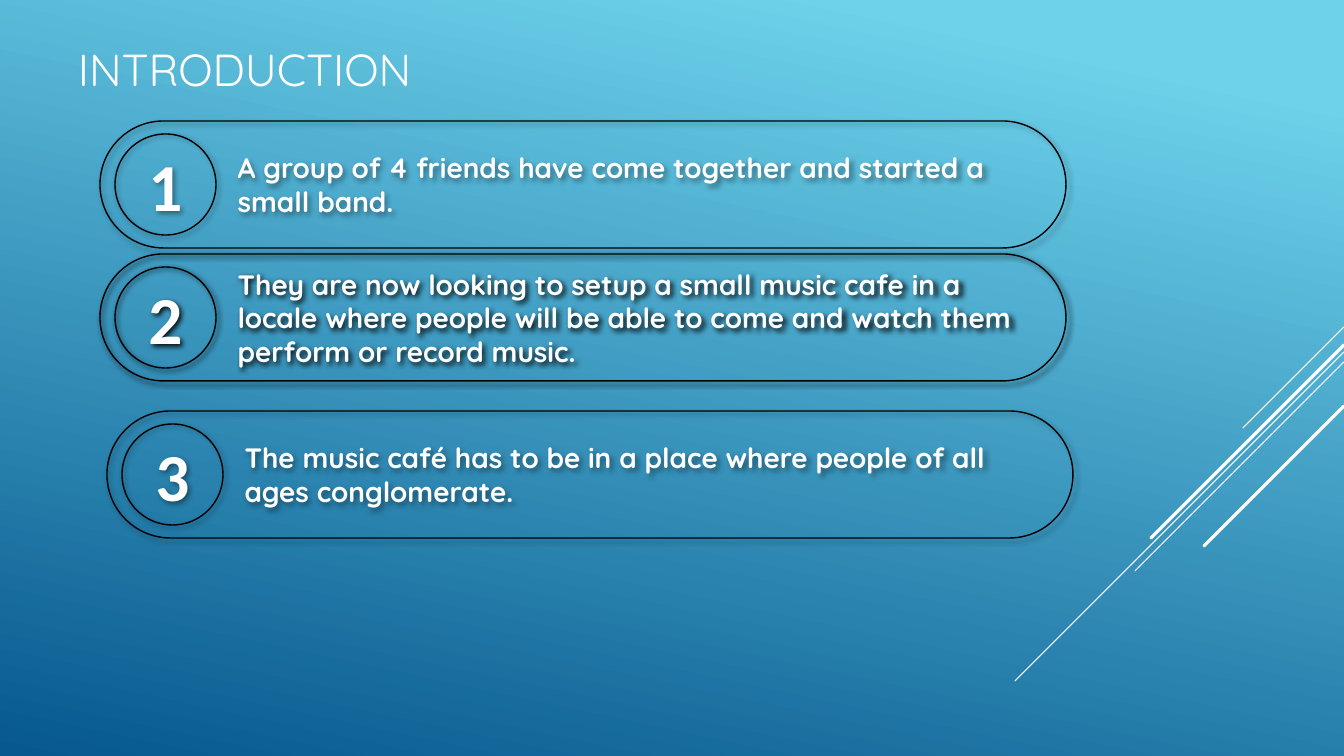
from lxml.etree import SubElement
from pptx import Presentation
from pptx.dml.color import RGBColor
from pptx.enum.shapes import MSO_CONNECTOR as Connector, MSO_SHAPE as Shape
from pptx.enum.text import MSO_ANCHOR as Anchor, PP_ALIGN as Align
from pptx.oxml.ns import qn
from pptx.util import Emu, Pt

WHITE = RGBColor(0xFF, 0xFF, 0xFF)
BLACK = RGBColor(0x00, 0x00, 0x00)
SKY = RGBColor(0x6E, 0xD2, 0xEB)
DEEP_BLUE = RGBColor(0x06, 0x58, 0x8E)
WIDTH, HEIGHT = 1344, 756
EMU_PER_PX = 12192000 / WIDTH

POINTS = [
    (100, 121, 40, "A group of 4 friends have come together and started a small band."),
    (100, 254, 90, "They are now looking to setup a small music cafe in a locale where people "
                   "will be able to come and watch them perform or record music."),
    (107, 411, 40, "The music café has to be in a place where people of all ages conglomerate."),
]
RAYS = [(327, 101, 0.75), (352, 329, 0.75), (362, 209, 0.75), (345, 193, 2.25), (406, 140, 2.25)]


def px(*lengths):
    """Turn pixel lengths into EMU."""
    return [Emu(round(length * EMU_PER_PX)) for length in lengths]


def paint_background(slide):
    """Fill the slide with the diagonal blue gradient."""
    fill = slide.background.fill
    fill.gradient()
    fill.gradient_angle = 258
    for stop, color, position in zip(fill.gradient_stops, (SKY, DEEP_BLUE), (0.1, 1)):
        stop.color.rgb = color
        stop.position = position


def add_ray(slide, top, reach, weight):
    """Draw a 45 degree line running down from the right edge."""
    ray = slide.shapes.add_connector(
        Connector.STRAIGHT, *px(WIDTH, top, WIDTH - reach, top + reach))
    ray.line.color.rgb = WHITE
    ray.line.width = Pt(weight)
    ray.line._get_or_add_ln().set("cap", "rnd")
    SubElement(ray._element.spPr, qn("a:effectLst"))


def write_text(shape, text, font_name, size, bold=False, align=Align.LEFT):
    """Put one vertically centred white paragraph into a shape."""
    frame = shape.text_frame
    frame.text = text
    frame.word_wrap = True
    frame.vertical_anchor = Anchor.MIDDLE
    paragraph = frame.paragraphs[0]
    paragraph.alignment = align
    font = paragraph.runs[0].font
    font.name, font.size, font.bold = font_name, Pt(size), bold
    font.color.rgb = WHITE


def add_outline(slide, kind, box, shadow_alpha):
    """Add an unfilled black outline with a soft shadow."""
    shape = slide.shapes.add_shape(kind, *px(*box))
    shape.fill.background()
    shape.line.color.rgb = BLACK
    shape.line.width = Pt(1)
    shape.shadow.inherit = False
    effects = shape._element.spPr.find(qn("a:effectLst"))
    shadow = SubElement(effects, qn("a:outerShdw"), blurRad="50800", dist="25400",
                        dir="2700000", rotWithShape="0")
    color = SubElement(shadow, qn("a:srgbClr"), val=str(BLACK))
    SubElement(color, qn("a:alpha"), val=str(shadow_alpha * 1000))
    return shape


def add_point(slide, number, left, top, shadow_alpha, text):
    """Add a pill with its statement and a numbered circle."""
    pill = add_outline(slide, Shape.ROUNDED_RECTANGLE, (left, top, 966, 127), shadow_alpha)
    pill.adjustments[0] = 0.5
    frame = pill.text_frame
    frame.margin_left, frame.margin_top, frame.margin_right, frame.margin_bottom = px(119, 5, 10, 5)
    write_text(pill, text, "Quicksand", 20, bold=True)
    circle = add_outline(slide, Shape.OVAL, (left + 15, top + 13, 101, 101), shadow_alpha)
    write_text(circle, str(number), "Calibri", 48, bold=True, align=Align.CENTER)


def main():
    """Build the introduction slide."""
    presentation = Presentation()
    presentation.slide_width, presentation.slide_height = px(WIDTH, HEIGHT)
    slide = presentation.slides.add_slide(presentation.slide_layouts[6])
    paint_background(slide)
    for ray in RAYS:
        add_ray(slide, *ray)
    for number, point in enumerate(POINTS, start=1):
        add_point(slide, number, *point)
    title = slide.shapes.add_textbox(*px(68, 30, 1210, 78))
    write_text(title, "INTRODUCTION", "Quicksand", 32)
    presentation.save("out.pptx")


if __name__ == "__main__":
    main()
